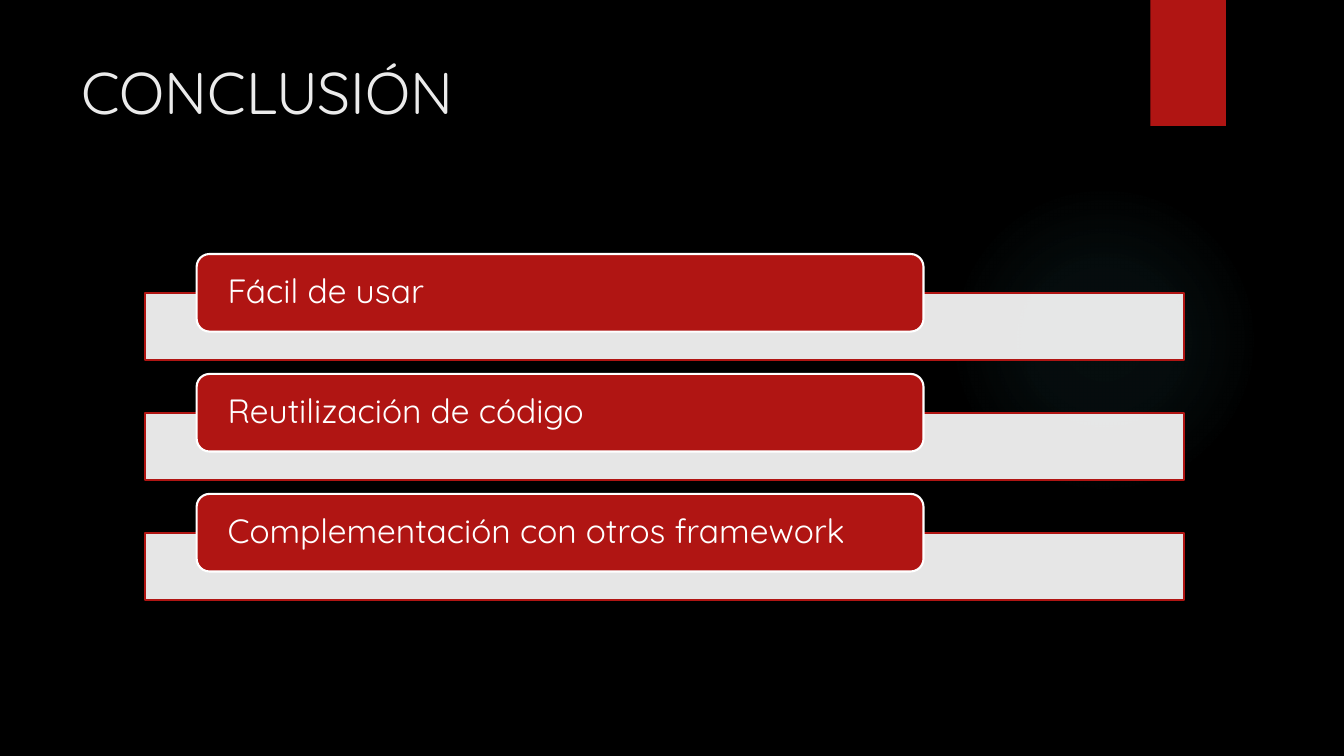
from pptx import Presentation
from pptx.dml.color import RGBColor
from pptx.enum.shapes import MSO_SHAPE
from pptx.enum.text import MSO_ANCHOR, PP_ALIGN
from pptx.oxml import parse_xml
from pptx.oxml.ns import nsdecls, qn
from pptx.util import Inches, Pt
from lxml import etree

RECT = MSO_SHAPE.RECTANGLE
ROUND = MSO_SHAPE.ROUNDED_RECTANGLE
OVAL = MSO_SHAPE.OVAL
TOP, MIDDLE = MSO_ANCHOR.TOP, MSO_ANCHOR.MIDDLE
LEFT = PP_ALIGN.LEFT

COLORS = {"black": "000000", "red": "B01513", "white": "FFFFFF",
          "title": "EBEBEB", "glow": "50B9C1"}
POINTS = ["Fácil de usar", "Reutilización de código",
          "Complementación con otros framework"]
FIRST, STEP = 2.52, 1.19


class Deck:
    def __init__(self, font):
        self.font = font
        self.prs = Presentation()
        self.prs.slide_width = Inches(13.33)
        self.prs.slide_height = Inches(7.5)
        self.slide = self.prs.slides.add_slide(self.prs.slide_layouts[6])

    def color(self, name):
        return RGBColor.from_string(COLORS[name])

    def back(self, name):
        fill = self.slide.background.fill
        fill.solid()
        fill.fore_color.rgb = self.color(name)

    def shape(self, kind, box, fill=None, line=None, alpha=None):
        item = self.slide.shapes.add_shape(kind, *map(Inches, box))
        item.shadow.inherit = False
        if fill:
            item.fill.solid()
            item.fill.fore_color.rgb = self.color(fill)
        else:
            item.fill.background()
        if alpha:
            tone = item._element.spPr.find(qn("a:solidFill"))[0]
            etree.SubElement(tone, qn("a:alpha"), val=str(alpha * 1000))
        if line:
            item.line.color.rgb = self.color(line)
            item.line.width = Pt(1.5)
        else:
            item.line.fill.background()
        return item

    def glow(self, box, name, stops):
        item = self.shape(OVAL, box)
        marks = "".join(
            f'<a:gs pos="{pos * 1000}"><a:srgbClr val="{COLORS[name]}">'
            f'<a:alpha val="{alpha * 1000}"/></a:srgbClr></a:gs>'
            for pos, alpha in stops)
        grad = parse_xml(
            f'<a:gradFill {nsdecls("a")}><a:gsLst>{marks}</a:gsLst>'
            '<a:path path="circle"><a:fillToRect l="50000" t="50000" '
            'r="50000" b="50000"/></a:path></a:gradFill>')
        props = item._element.spPr
        props.replace(props.find(qn("a:noFill")), grad)

    def label(self, item, text, size, color, frame, para):
        body = item.text_frame
        line = body.paragraphs[0]
        run = line.add_run()
        run.text = text
        look = {"name": self.font, "size": Pt(size)}
        for part, style in ((body, frame), (line, para), (run.font, look)):
            for key, value in style.items():
                setattr(part, key, value)
        run.font.color.rgb = self.color(color)

    def title(self, box, text):
        item = self.slide.shapes.add_textbox(*map(Inches, box))
        frame = {"word_wrap": True, "vertical_anchor": TOP}
        self.label(item, text, 42, "title", frame, {"alignment": LEFT})

    def point(self, top, text):
        self.shape(RECT, (1.44, top + 0.39, 10.3, 0.66),
                   "white", "red", alpha=90)
        item = self.shape(ROUND, (1.95, top, 7.21, 0.77), "red", "white")
        frame = {"word_wrap": True, "vertical_anchor": MIDDLE,
                 "margin_left": Inches(0.27), "margin_right": Inches(0.27),
                 "margin_top": 0, "margin_bottom": 0}
        para = {"alignment": LEFT, "line_spacing": 0.9}
        self.label(item, text, 24, "white", frame, para)


def main():
    deck = Deck("Quicksand")

    # Backdrop
    deck.back("black")
    deck.glow((9.41, 1.83, 3.08, 3.08), "glow", [(0, 7), (36, 6), (69, 0)])
    deck.shape(RECT, (11.41, 0, 0.75, 1.25), "red")

    # Title
    deck.title((0.71, 0.5, 10.29, 1.53), "CONCLUSIÓN")

    # Points
    for row, text in enumerate(POINTS):
        deck.point(FIRST + row * STEP, text)

    deck.prs.save("out.pptx")


if __name__ == "__main__":
    main()
